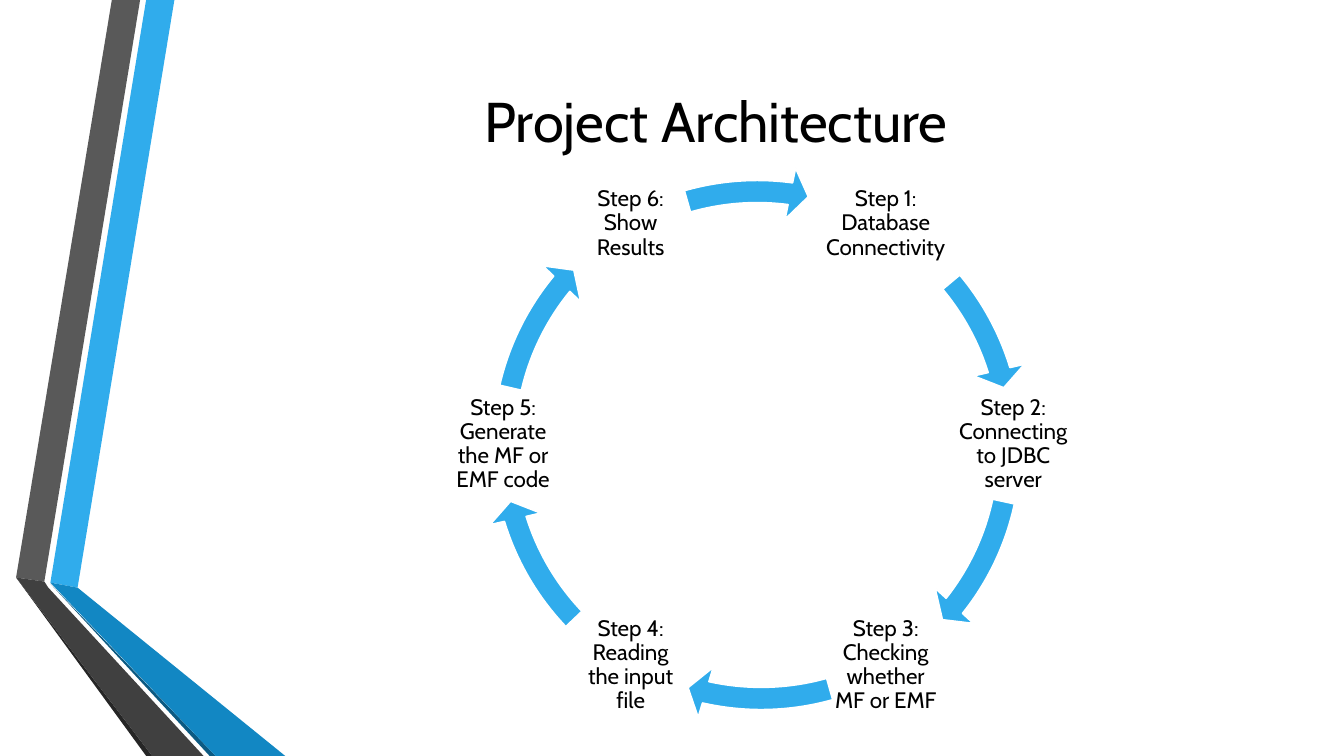
import math
from dataclasses import dataclass

from pptx import Presentation
from pptx.dml.color import RGBColor
from pptx.enum import shapes, text
from pptx.util import Inches, Pt


@dataclass(frozen=True)
class Theme:
    font: str = "Cabin"
    title_size: int = 40
    step_size: int = 16
    ink: str = "000000"
    paper: str = "FFFFFF"
    blue: str = "30ACEC"
    blue_mid: str = "1287C3"
    blue_dark: str = "0C5A82"
    gray: str = "595959"
    gray_mid: str = "404040"
    gray_dark: str = "262626"


THEME = Theme()

RIBBONS = [
    (THEME.blue, [(0.5, 5.78), (0.77, 5.83), (1.73, 0), (1.45, 0)]),
    (THEME.gray, [(1.39, 0), (1.11, 0), (0.16, 5.73), (0.44, 5.77)]),
    (THEME.gray_dark, [(0.16, 5.73), (1.45, 7.5), (1.51, 7.5)]),
    (THEME.blue_dark, [(0.5, 5.79), (2.08, 7.5), (2.14, 7.5)]),
    (THEME.blue_mid, [(0.5, 5.78), (2.14, 7.5), (2.83, 7.5), (0.77, 5.83)]),
    (THEME.gray_mid, [(2.02, 7.5), (0.48, 5.83), (0.44, 5.77), (0.16, 5.73), (1.51, 7.5)]),
]

# label, label width, arrow start and end in degrees, ring left and top
STEPS = [
    ("Step 1: Database Connectivity", 1.51, 320.07, 342.88, 4.74, 1.64),
    ("Step 2: Connecting to JDBC server", 1.13, 12.09, 38.44, 4.73, 1.68),
    ("Step 3: Checking whether MF or EMF", 1.13, 74.28, 102.65, 4.78, 1.65),
    ("Step 4: Reading the input file", 1.13, 136.4, 162.88, 4.74, 1.64),
    ("Step 5: Generate the MF or EMF code", 1.13, 192.95, 219.43, 4.74, 1.64),
    ("Step 6: Show Results", 1.13, 253.99, 277.51, 4.74, 1.64),
]
CENTER_X, CENTER_Y, RADIUS = 7.52, 4.41, 2.53
LABEL_HEIGHT = 1.13
RING_SIZE = 5.54
ADJUSTMENT_PER_DEGREE = 0.6


def rgb(color):
    return RGBColor.from_string(color)


def fill_shape(sp, color):
    sp.shadow.inherit = False
    sp.fill.solid()
    sp.fill.fore_color.rgb = rgb(color)


def format_paragraph(p, size):
    p.alignment = text.PP_ALIGN.CENTER
    p.font.name = THEME.font
    p.font.size = Pt(size)
    p.font.color.rgb = rgb(THEME.ink)


def set_title(s, title):
    sp = s.shapes.title
    sp.left, sp.top = Inches(1.62), Inches(0.75)
    sp.width, sp.height = Inches(10.96), Inches(0.89)
    tf = sp.text_frame
    tf.text = title
    tf.auto_size = text.MSO_AUTO_SIZE.NONE
    tf.vertical_anchor = text.MSO_ANCHOR.MIDDLE
    format_paragraph(tf.paragraphs[0], THEME.title_size)


def add_ribbon(s, color, points):
    start, *rest = [(Inches(x), Inches(y)) for x, y in points]
    builder = s.shapes.build_freeform(*start)
    builder.add_line_segments(rest, close=True)
    sp = builder.convert_to_shape()
    fill_shape(sp, color)
    sp.line.fill.background()


def add_label(s, label, x, y, width):
    sp = s.shapes.add_textbox(
        Inches(x - width / 2), Inches(y - LABEL_HEIGHT / 2), Inches(width), Inches(LABEL_HEIGHT)
    )
    tf = sp.text_frame
    tf.word_wrap = True
    tf.vertical_anchor = text.MSO_ANCHOR.MIDDLE
    tf.margin_left = tf.margin_right = tf.margin_top = tf.margin_bottom = Inches(0.02)
    p = tf.paragraphs[0]
    p.text = label
    p.line_spacing = 0.9
    format_paragraph(p, THEME.step_size)


def add_arc_arrow(s, left, top, start, end):
    sp = s.shapes.add_shape(
        shapes.MSO_SHAPE.CIRCULAR_ARROW,
        Inches(left), Inches(top), Inches(RING_SIZE), Inches(RING_SIZE),
    )
    angles = [degrees * ADJUSTMENT_PER_DEGREE for degrees in (4.17, end, start)]
    for i, value in enumerate([0.04, *angles, 0.047]):
        sp.adjustments[i] = value
    fill_shape(sp, THEME.blue)
    sp.line.color.rgb = rgb(THEME.paper)
    sp.line.width = Pt(1.25)


def add_cycle(s):
    for i, (label, width, start, end, left, top) in enumerate(STEPS):
        angle = math.radians(360 / len(STEPS) * (i - 1))
        x = CENTER_X + RADIUS * math.cos(angle)
        y = CENTER_Y + RADIUS * math.sin(angle)
        add_label(s, label, x, y, width)
        add_arc_arrow(s, left, top, start, end)


def main():
    prs = Presentation()
    prs.slide_width, prs.slide_height = Inches(13.33), Inches(7.5)
    s = prs.slides.add_slide(prs.slide_layouts[5])
    for color, points in RIBBONS:
        add_ribbon(s, color, points)
    set_title(s, "Project Architecture")
    add_cycle(s)
    prs.save("out.pptx")


if __name__ == "__main__":
    main()
